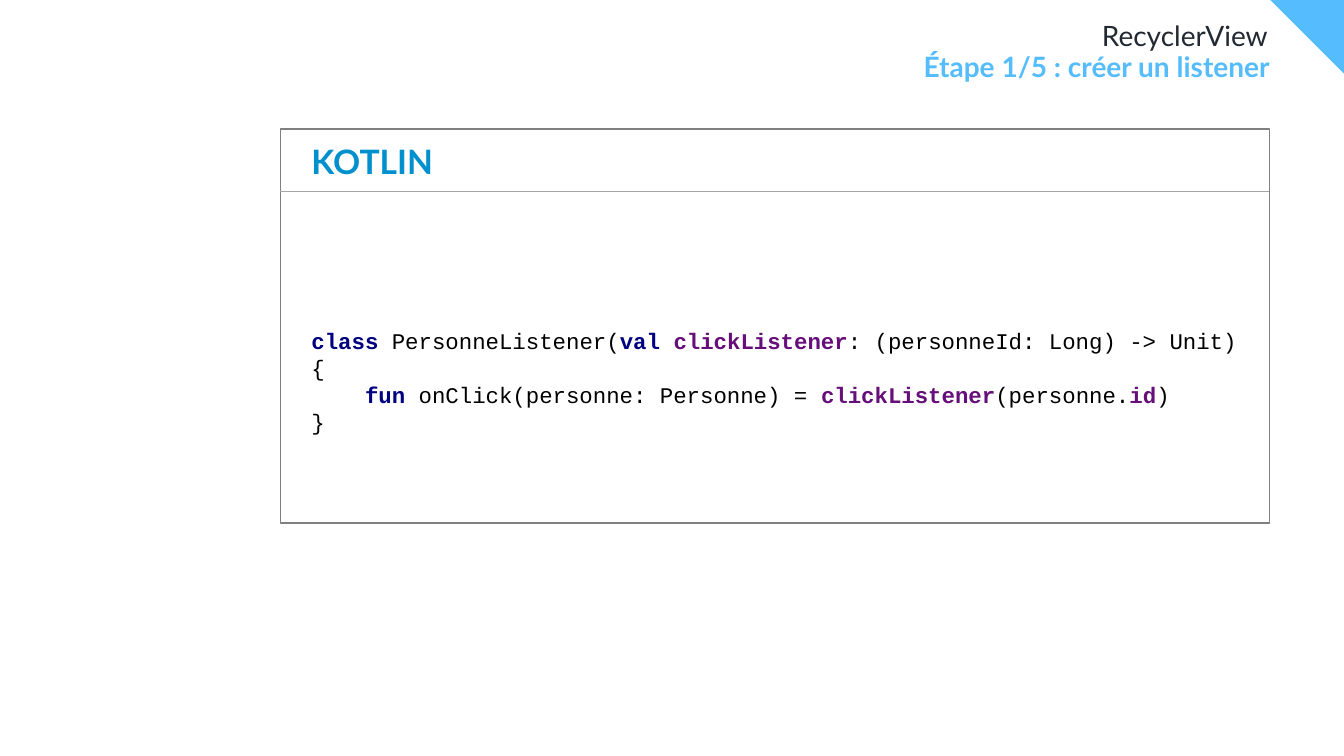
from dataclasses import dataclass
from typing import NamedTuple

from lxml import etree
from pptx import Presentation
from pptx.dml.color import RGBColor as Color
from pptx.enum.shapes import MSO_CONNECTOR as Connector, MSO_SHAPE as Preset
from pptx.enum.text import MSO_ANCHOR as Anchor, PP_ALIGN as Align
from pptx.oxml.ns import qn
from pptx.util import Inches, Pt


@dataclass(frozen=True)
class Theme:
    sky: str = "55BDFD"
    blue: str = "0090CD"
    ink: str = "222933"
    white: str = "FFFFFF"
    border: str = "808080"
    rule: str = "A5A5A5"
    plain: str = "000000"
    keyword: str = "000080"
    member: str = "660E7A"
    text_font: str = "Lato"
    code_font: str = "Courier New"
    heading_size: int = 20
    label_size: int = 24
    code_size: int = 16


THEME = Theme()


class Box(NamedTuple):
    left: int
    top: int
    width: int
    height: int

    def inner(self, left, top, width, height):
        """Return an inner box given in percent of this one."""
        return Box(int(self.left + self.width * left / 100),
                   int(self.top + self.height * top / 100),
                   int(self.width * width / 100),
                   int(self.height * height / 100))


def set_all(target, formats):
    for name, value in formats.items():
        setattr(target, name, value)


def add_span(para, text, color, size, font, bold=False):
    span = para.add_run()
    span.text = text
    set_all(span.font, {"size": Pt(size), "name": font, "bold": bold})
    span.font.color.rgb = Color.from_string(color)


def add_panel_shape(page, box, border=None):
    shape = page.shapes.add_shape(Preset.RECTANGLE, *box)
    shape.shadow.inherit = False
    shape.fill.solid()
    shape.fill.fore_color.rgb = Color.from_string(THEME.white)
    if border:
        shape.line.color.rgb = Color.from_string(border)
        shape.line.width = Pt(1)
    else:
        shape.line.fill.background()
    return shape


# Triangle in the top right corner
def draw_corner(page, box):
    right = box.left + box.width
    builder = page.shapes.build_freeform(box.left, box.top)
    builder.add_line_segments([(right, box.top), (right, box.top + box.height)])
    corner = builder.convert_to_shape()
    corner.shadow.inherit = False
    corner.fill.solid()
    corner.fill.fore_color.rgb = Color.from_string(THEME.sky)
    corner.line.fill.background()


# Right-aligned title and subtitle
def draw_header(page, box):
    rows = [
        ("RecyclerView", THEME.ink, False, box.inner(0, 0, 99.84, 41.89)),
        ("Étape 1/5 : créer un listener", THEME.sky, True,
         box.inner(0, 41.89, 100, 58.11)),
    ]
    for text, color, bold, area in rows:
        frame = page.shapes.add_textbox(*area).text_frame
        set_all(frame, {"word_wrap": True, "margin_left": 0, "margin_right": 0,
                        "margin_top": 0, "margin_bottom": 0})
        para = frame.paragraphs[0]
        set_all(para, {"alignment": Align.RIGHT, "line_spacing": 0.9})
        add_span(para, text, color, THEME.heading_size, THEME.text_font, bold)


# Framed panel with a language label, a rule and the code
def draw_code_panel(page, box, language, lines):
    add_panel_shape(page, box, THEME.border)

    rule_box = box.inner(0, 15.86, 100, 0)
    rule = page.shapes.add_connector(
        Connector.STRAIGHT, rule_box.left, rule_box.top,
        rule_box.left + rule_box.width, rule_box.top)
    rule.line.color.rgb = Color.from_string(THEME.rule)
    rule.line.width = Pt(0.5)
    etree.SubElement(rule._element.spPr, qn("a:effectLst"))

    label = page.shapes.add_textbox(*box.inner(2.14, 2.3, 14.88, 12.28)).text_frame
    set_all(label, {"word_wrap": True, "vertical_anchor": Anchor.BOTTOM})
    add_span(label.paragraphs[0], language, THEME.blue, THEME.label_size,
             THEME.text_font, True)

    code = add_panel_shape(page, box.inner(2.14, 48.85, 96.74, 30.18)).text_frame
    set_all(code, {"word_wrap": True, "vertical_anchor": Anchor.MIDDLE})
    for index, line in enumerate(lines):
        para = code.add_paragraph() if index else code.paragraphs[0]
        para.alignment = Align.LEFT
        for text, color in line:
            add_span(para, text, color, THEME.code_size, THEME.code_font,
                     color != THEME.plain)


LISTENER_CODE = [
    [("class ", THEME.keyword), ("PersonneListener(", THEME.plain),
     ("val ", THEME.keyword), ("clickListener", THEME.member),
     (": (personneId: Long) -> Unit) {", THEME.plain)],
    [("    ", THEME.plain), ("fun ", THEME.keyword),
     ("onClick(personne: Personne) = ", THEME.plain),
     ("clickListener", THEME.member), ("(personne.", THEME.plain),
     ("id", THEME.member), (")", THEME.plain)],
    [("}", THEME.plain)],
]


def main():
    deck = Presentation()
    set_all(deck, {"slide_width": Inches(13.33), "slide_height": Inches(7.5)})
    page = deck.slides.add_slide(deck.slide_layouts[6])
    whole = Box(0, 0, deck.slide_width, deck.slide_height)
    draw_corner(page, whole.inner(94.52, 0, 5.48, 9.73))
    draw_code_panel(page, whole.inner(20.86, 17.07, 73.59, 52.13),
                    "KOTLIN", LISTENER_CODE)
    draw_header(page, whole.inner(2.78, 2.93, 91.7, 9.87))
    deck.save("out.pptx")


if __name__ == "__main__":
    main()
